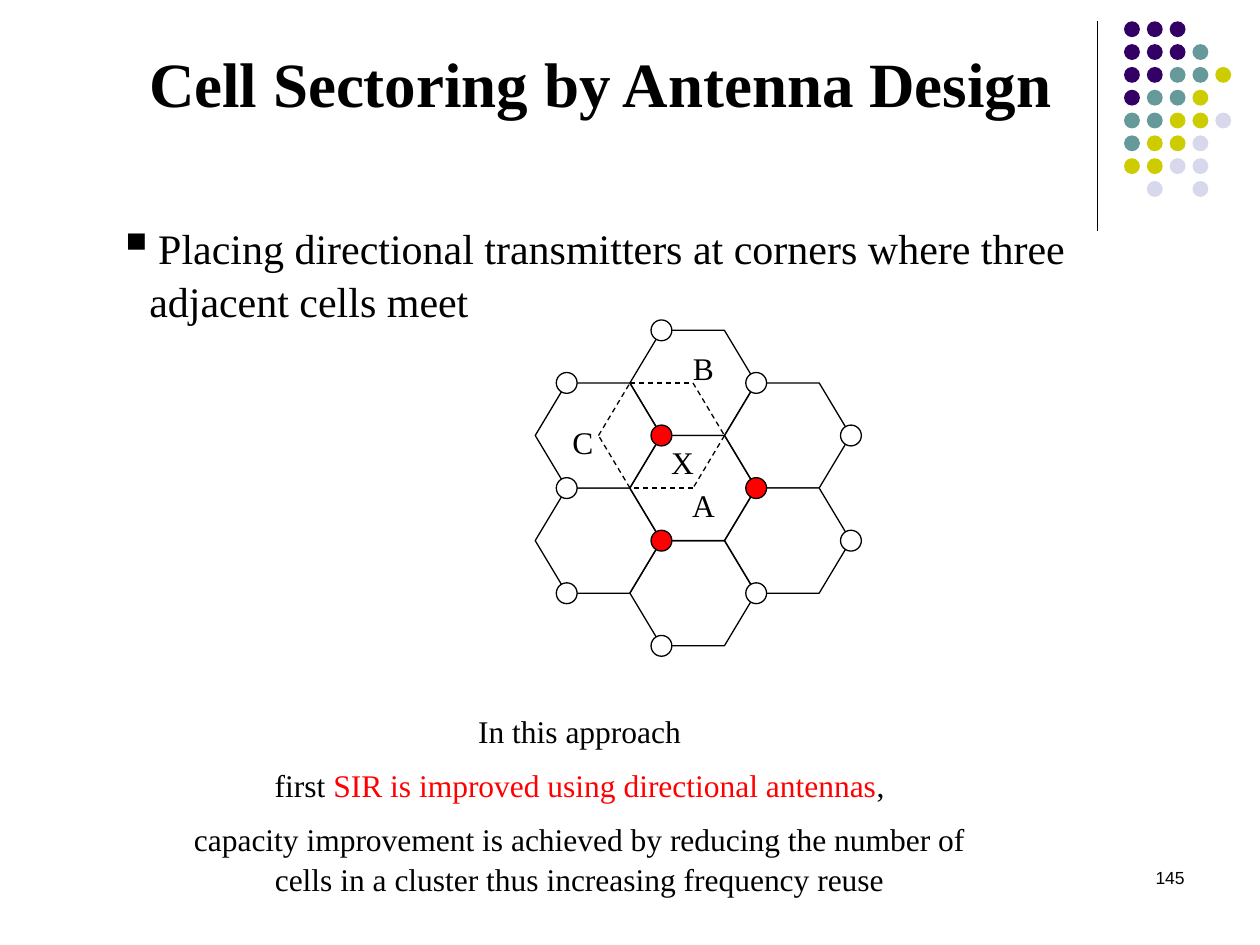
from dataclasses import dataclass

from lxml import etree
from pptx import Presentation
from pptx.dml.color import RGBColor
from pptx.enum.dml import MSO_LINE
from pptx.enum.shapes import MSO_CONNECTOR, MSO_SHAPE
from pptx.enum.text import MSO_ANCHOR, MSO_AUTO_SIZE, PP_ALIGN
from pptx.oxml.ns import qn
from pptx.shapes.autoshape import Shape
from pptx.slide import Slide
from pptx.util import Cm, Pt

BLACK = RGBColor(0x00, 0x00, 0x00)
WHITE = RGBColor(0xFF, 0xFF, 0xFF)
RED = RGBColor(0xFF, 0x00, 0x00)
PURPLE = RGBColor(0x33, 0x00, 0x66)
TEAL = RGBColor(0x66, 0x99, 0x99)
OLIVE = RGBColor(0xCC, 0xCC, 0x00)
LAVENDER = RGBColor(0xD8, 0xD8, 0xEC)

ELLIPSE, HEXAGON = MSO_SHAPE.OVAL, MSO_SHAPE.HEXAGON
STRAIGHT, DASH = MSO_CONNECTOR.STRAIGHT, MSO_LINE.DASH
LEFT, CENTER, RIGHT = PP_ALIGN.LEFT, PP_ALIGN.CENTER, PP_ALIGN.RIGHT
SERIF, SANS = "Times New Roman", "Arial"
LINE_WIDTH = Pt(0.75)
LINE_SPACING = 1.05

# Decorative dots, one letter per dot colour
DOT_COLORS = {"P": PURPLE, "T": TEAL, "O": OLIVE, "L": LAVENDER}
DOT_ROWS = ["PPP", "PPPT", "PPTTO", "PTTO", "TTOOL", "TOOL", "OOLL", " L L"]
DOT_LEFT, DOT_TOP, DOT_PITCH, DOT_SIZE = 22.66, 0.43, 0.46, 0.32

# Cell lattice, in cm: steps are one column and half a cell height
CELL_X, CELL_Y = 13.97, 9.84
CELL_WIDTH, CELL_HEIGHT = 2.54, 2.12
COLUMN_STEP, ROW_STEP = 1.91, 1.06
CORNER = CELL_WIDTH / 4
ANTENNA_SIZE = 0.42
CELLS = [(0, 2), (0, -2), (-1, 1), (0, 0), (-1, -1), (1, -1), (1, 1)]


@dataclass
class Antenna:
    column: int
    row: int
    color: RGBColor = WHITE


@dataclass
class Label:
    text: str
    x: float
    top: float


@dataclass
class Span:
    text: str
    color: RGBColor = BLACK


@dataclass
class Statement:
    spans: list[Span]
    space_before: float = 0
    right_margin: float = 0


ANTENNAS = [
    Antenna(0, 3), Antenna(0, 1, RED), Antenna(1, 0, RED), Antenna(0, -1, RED),
    Antenna(1, 2), Antenna(2, 1), Antenna(2, -1), Antenna(1, -2),
    Antenna(0, -3), Antenna(-1, -2), Antenna(-1, 0), Antenna(-1, 2),
]
LABELS = [Label("A", 14.18, 9.68), Label("B", 14.18, 6.91),
          Label("C", 11.75, 8.41), Label("X", 13.76, 8.81)]
STATEMENTS = [
    Statement([Span("In this approach")], right_margin=2.54),
    Statement([Span("first "),
               Span("SIR is improved using directional antennas", RED),
               Span(",")], 8.2, 2.54),
    Statement([Span("capacity improvement is achieved by reducing the number of "
                    "cells in a cluster thus increasing frequency reuse")], 8),
]


def add_run(paragraph, text: str, size: float, color: RGBColor = BLACK,
            font: str = SERIF, bold: bool = False) -> None:
    run = paragraph.add_run()
    run.text = text
    run.font.name = font
    run.font.size = Pt(size)
    run.font.bold = bold
    run.font.color.rgb = color


def add_textbox(slide: Slide, left: float, top: float, width: float,
                height: float, wrap: bool = True) -> Shape:
    box = slide.shapes.add_textbox(Cm(left), Cm(top), Cm(width), Cm(height))
    box.text_frame.word_wrap = wrap
    return box


def add_centered_shape(slide: Slide, kind: MSO_SHAPE, x: float, y: float,
                       width: float, height: float, fill: RGBColor,
                       outlined: bool = True) -> Shape:
    shape = slide.shapes.add_shape(kind, Cm(x - width / 2), Cm(y - height / 2),
                                   Cm(width), Cm(height))
    shape.shadow.inherit = False
    shape.fill.solid()
    shape.fill.fore_color.rgb = fill
    if outlined:
        shape.line.color.rgb = BLACK
        shape.line.width = LINE_WIDTH
    else:
        shape.line.fill.background()
    return shape


def add_line(slide: Slide, start: tuple[float, float], end: tuple[float, float],
             dashed: bool = False) -> None:
    line = slide.shapes.add_connector(STRAIGHT, *map(Cm, start), *map(Cm, end))
    line.line.color.rgb = BLACK
    line.line.width = LINE_WIDTH
    if dashed:
        line.line.dash_style = DASH
    etree.SubElement(line._element.spPr, qn("a:effectLst"))


def add_decoration(slide: Slide) -> None:
    add_line(slide, (22.12, 0.43), (22.12, 4.65))
    for row, letters in enumerate(DOT_ROWS):
        for column, letter in enumerate(letters):
            if letter in DOT_COLORS:
                add_centered_shape(
                    slide, ELLIPSE,
                    DOT_LEFT + column * DOT_PITCH + DOT_SIZE / 2,
                    DOT_TOP + row * DOT_PITCH + DOT_SIZE / 2,
                    DOT_SIZE, DOT_SIZE, DOT_COLORS[letter], outlined=False)


def format_title(slide: Slide) -> None:
    title = slide.shapes.title
    title.left, title.top = Cm(2.75), Cm(0.21)
    title.width, title.height = Cm(21.63), Cm(2.33)
    frame = title.text_frame
    frame.auto_size = MSO_AUTO_SIZE.NONE
    frame.vertical_anchor = MSO_ANCHOR.BOTTOM
    frame.paragraphs[0].alignment = LEFT
    add_run(frame.paragraphs[0], "Cell Sectoring by Antenna Design", 36, bold=True)


def add_bullet_text(slide: Slide) -> None:
    frame = add_textbox(slide, 2.12, 3.81, 20.53, 3.39, wrap=False).text_frame
    frame.vertical_anchor = MSO_ANCHOR.MIDDLE
    first, second = frame.paragraphs[0], frame.add_paragraph()
    properties = first._p.get_or_add_pPr()
    properties.set("marL", str(Cm(0.82)))
    properties.set("indent", str(-Cm(0.82)))
    etree.SubElement(properties, qn("a:buSzPct"), val="120000")
    etree.SubElement(properties, qn("a:buChar"), char="▪")
    second._p.get_or_add_pPr().set("marL", str(Cm(0.64)))
    for paragraph, text in (
            (first, "Placing directional transmitters at corners where three"),
            (second, "adjacent cells meet")):
        paragraph.alignment = LEFT
        paragraph.line_spacing = LINE_SPACING
        add_run(paragraph, text, 24)


def add_cells(slide: Slide) -> None:
    for column, row in CELLS:
        cell = add_centered_shape(
            slide, HEXAGON, CELL_X + column * COLUMN_STEP,
            CELL_Y + row * ROW_STEP, CELL_WIDTH, CELL_HEIGHT, WHITE)
        cell.adjustments[0] = 0.3
    corner_x = CELL_X - CORNER
    for antenna in ANTENNAS:
        add_centered_shape(
            slide, ELLIPSE, corner_x + antenna.column * COLUMN_STEP,
            CELL_Y + antenna.row * ROW_STEP, ANTENNA_SIZE, ANTENNA_SIZE,
            antenna.color)
    # The dashed cell X is centred on the upper red antenna
    corners = [(corner_x + x * CORNER, CELL_Y + (y - 1) * ROW_STEP) for x, y in
               [(-1, -1), (1, -1), (2, 0), (1, 1), (-1, 1), (-2, 0)]]
    for start, end in zip(corners, corners[1:] + corners[:1]):
        add_line(slide, start, end, dashed=True)
    for label in LABELS:
        box = add_textbox(slide, label.x - 0.64, label.top, 1.28, 1.02)
        paragraph = box.text_frame.paragraphs[0]
        paragraph.alignment = CENTER
        add_run(paragraph, label.text, 18)


def add_statements(slide: Slide) -> None:
    frame = add_textbox(slide, 3.28, 14.2, 19.35, 3.91).text_frame
    for index, statement in enumerate(STATEMENTS):
        paragraph = frame.add_paragraph() if index else frame.paragraphs[0]
        paragraph.alignment = CENTER
        paragraph.line_spacing = LINE_SPACING
        if statement.space_before:
            paragraph.space_before = Pt(statement.space_before)
        if statement.right_margin:
            paragraph._p.get_or_add_pPr().set("marR", str(Cm(statement.right_margin)))
        for span in statement.spans:
            add_run(paragraph, span.text, 18, span.color)


def add_page_number(slide: Slide) -> None:
    box = add_textbox(slide, 18.21, 17.35, 5.92, 1.27)
    paragraph = box.text_frame.paragraphs[0]
    paragraph.alignment = RIGHT
    add_run(paragraph, "145", 10, font=SANS)


def main() -> None:
    presentation = Presentation()
    presentation.slide_width, presentation.slide_height = Cm(25.4), Cm(19.05)
    slide = presentation.slides.add_slide(presentation.slide_layouts[5])
    for draw in (add_decoration, format_title, add_page_number, add_bullet_text,
                 add_cells, add_statements):
        draw(slide)
    presentation.save("out.pptx")


if __name__ == "__main__":
    main()
